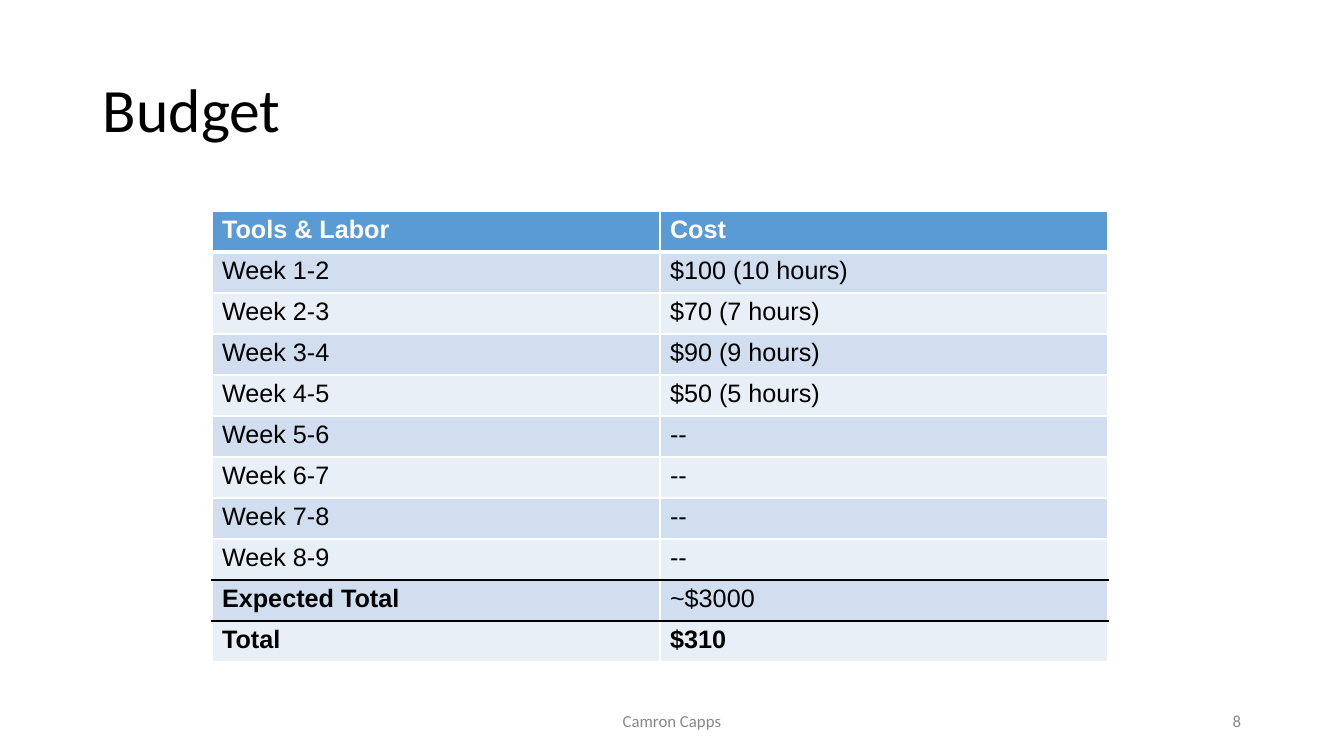
from dataclasses import dataclass

import pptx
import pptx.dml.color
import pptx.enum.text
import pptx.oxml
import pptx.oxml.ns
import pptx.util

PX = 914400 / 100.8
WHITE, BLACK, GRAY = "FFFFFF", "000000", "888888"
HEADER_BLUE, BAND_DARK, BAND_LIGHT = "5B9BD5", "D0DEEF", "E9EFF7"
ALIGN = pptx.enum.text.PP_ALIGN
MIDDLE = pptx.enum.text.MSO_ANCHOR.MIDDLE


def px(length: int) -> pptx.util.Emu:
    return pptx.util.Emu(round(length * PX))


def rgb(color: str) -> pptx.dml.color.RGBColor:
    return pptx.dml.color.RGBColor.from_string(color)


@dataclass
class Label:
    text: str
    left: int
    top: int
    width: int
    height: int
    size: int
    color: str
    align: ALIGN
    spacing: float = 1.0


@dataclass
class BudgetRow:
    item: str
    cost: str
    item_bold: bool = False
    cost_bold: bool = False
    color: str = BLACK
    rule_color: str = WHITE  # line below the row
    rule_width: int = 1


def style_text(paragraph, font: str, size: int, color: str, bold: bool = False) -> None:
    for run in paragraph.runs:
        run.font.name = font
        run.font.size = pptx.util.Pt(size)
        run.font.bold = bold
        run.font.color.rgb = rgb(color)


def draw_label(slide, label: Label) -> None:
    box = slide.shapes.add_textbox(
        px(label.left), px(label.top), px(label.width), px(label.height))
    frame = box.text_frame
    frame.word_wrap = True
    frame.vertical_anchor = MIDDLE
    frame.text = label.text
    paragraph = frame.paragraphs[0]
    paragraph.alignment = label.align
    paragraph.line_spacing = label.spacing
    style_text(paragraph, "Calibri", label.size, label.color)


def add_border(cell, side: str, color: str, width: int) -> None:
    cell._tc.get_or_add_tcPr().append(pptx.oxml.parse_xml(
        f'<a:ln{side} {pptx.oxml.ns.nsdecls("a")} w="{pptx.util.Pt(width)}">'
        f'<a:solidFill><a:srgbClr val="{color}"/></a:solidFill></a:ln{side}>'))


def draw_budget(slide, rows: list[BudgetRow], left: int, top: int,
                column_width: int, row_height: int) -> None:
    budget = slide.shapes.add_table(
        len(rows), 2, px(left), px(top),
        px(2 * column_width), px(row_height * len(rows))).table
    for column in budget.columns:
        column.width = px(column_width)
    above = (WHITE, 1)
    for index, row in enumerate(rows):
        budget.rows[index].height = px(row_height)
        below = (row.rule_color, row.rule_width)
        band = BAND_DARK if index % 2 else BAND_LIGHT
        entries = ((row.item, row.item_bold), (row.cost, row.cost_bold))
        for cell, (text, bold) in zip(budget.rows[index].cells, entries):
            cell.text = text
            style_text(cell.text_frame.paragraphs[0], "Arial", 18, row.color, bold)
            # Borders precede the fill in the cell properties
            for side, line in (("L", (WHITE, 1)), ("R", (WHITE, 1)),
                               ("T", above), ("B", below)):
                add_border(cell, side, *line)
            cell.fill.solid()
            cell.fill.fore_color.rgb = rgb(band if index else HEADER_BLUE)
        above = below


# Content
LABELS = [
    Label("Budget", 93, 40, 1159, 146, 44, BLACK, ALIGN.LEFT, 0.9),
    Label("Camron Capps", 445, 701, 454, 40, 12, GRAY, ALIGN.CENTER),
    Label("8", 949, 701, 302, 40, 12, GRAY, ALIGN.RIGHT),
]
BUDGET = [
    BudgetRow("Tools & Labor", "Cost", True, True, WHITE, rule_width=3),
    BudgetRow("Week 1-2", "$100 (10 hours)"),
    BudgetRow("Week 2-3", "$70 (7 hours)"),
    BudgetRow("Week 3-4", "$90 (9 hours)"),
    BudgetRow("Week 4-5", "$50 (5 hours)"),
    BudgetRow("Week 5-6", "--"),
    BudgetRow("Week 6-7", "--"),
    BudgetRow("Week 7-8", "--"),
    BudgetRow("Week 8-9", "--", rule_color=BLACK),
    BudgetRow("Expected Total", "~$3000", True, rule_color=BLACK),
    BudgetRow("Total", "$310", True, True),
]

# Slide
deck = pptx.Presentation()
deck.slide_width, deck.slide_height = px(1344), px(756)
budget_slide = deck.slides.add_slide(deck.slide_layouts[6])

# Title, table and footer
title, *footer = LABELS
draw_label(budget_slide, title)
draw_budget(budget_slide, BUDGET, 212, 211, 448, 41)
for note in footer:
    draw_label(budget_slide, note)

deck.save("out.pptx")
